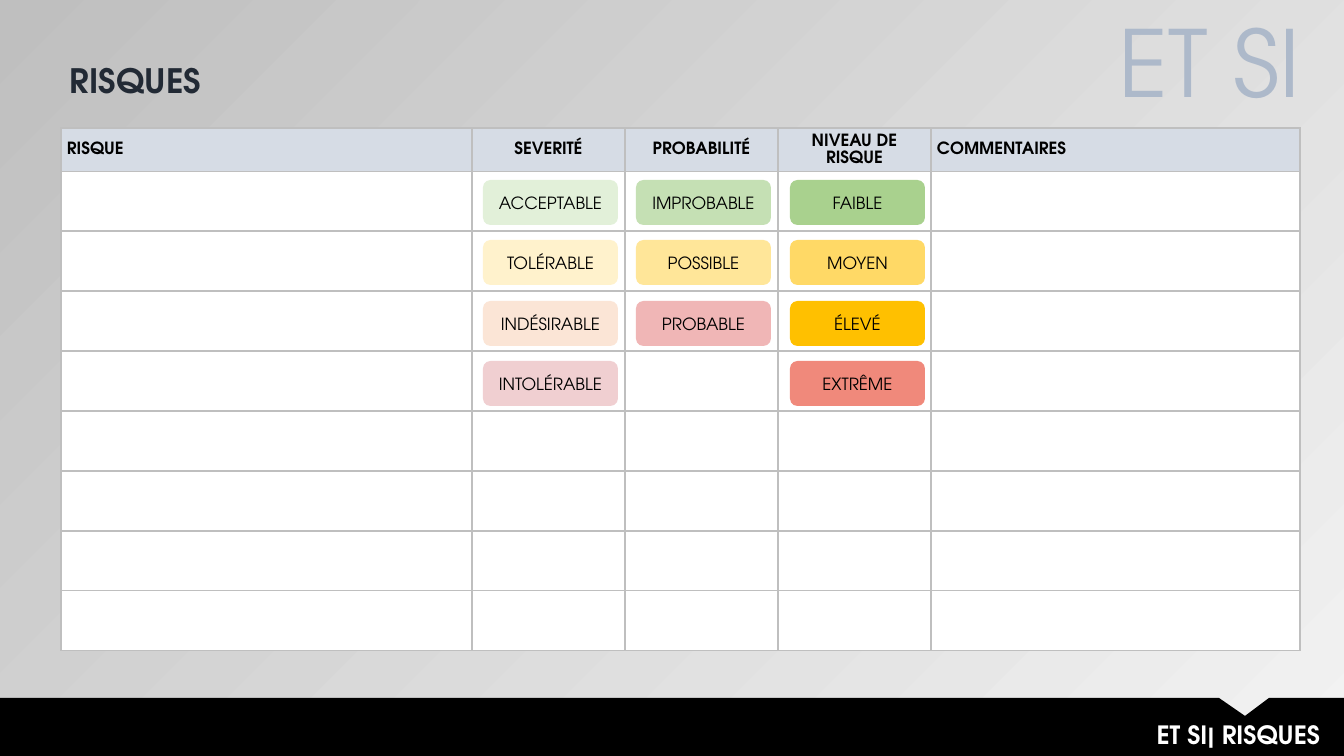
from lxml import etree
from pptx import Presentation
from pptx import util as u
from pptx.dml.color import RGBColor
from pptx.enum import shapes, text
from pptx.oxml import ns

PX = 914400 / 100.8
FONT = "TeX Gyre Adventor"
LEFT, CENTER, RIGHT = text.PP_ALIGN.LEFT, text.PP_ALIGN.CENTER, text.PP_ALIGN.RIGHT


def px(value):
    return u.Emu(round(value * PX))


def write(frame, words, size, color, bold=False, align=LEFT):
    paragraph = frame.paragraphs[0]
    paragraph.alignment = align
    run = paragraph.add_run()
    run.text = words
    run.font.color.rgb = RGBColor.from_string(color)
    for name, value in {"name": FONT, "size": u.Pt(size), "bold": bold}.items():
        setattr(run.font, name, value)
    return paragraph


presentation = Presentation()
presentation.slide_width, presentation.slide_height = px(1344), px(756)
slide = presentation.slides.add_slide(presentation.slide_layouts[6])

# Background gradient, light at the bottom right
background = slide.background.fill
background.gradient()
background.gradient_angle = 135
for stop, color in zip(background.gradient_stops, ["F2F2F2", "BFBFBF"]):
    stop.color.rgb = RGBColor.from_string(color)

# Black footer with a notch
builder = slide.shapes.build_freeform(0, 698, scale=PX)
builder.add_line_segments(
    [(1219, 698), (1245, 716), (1269, 698), (1344, 698), (1344, 756), (0, 756)])
footer = builder.convert_to_shape()
footer.shadow.inherit = False
footer.fill.solid()
footer.fill.fore_color.rgb = RGBColor.from_string("000000")
footer.line.fill.background()

# Footer label, section name and title
headings = [
    ("ET SI| RISQUES", (417, 714, 913, 40), 18, "FFFFFF", True, RIGHT),
    ("ET SI", (916, 0, 394, 122), 66, "ADB9CA", False, RIGHT),
    ("RISQUES", (60, 55, 897, 50), 24, "222A35", True, LEFT),
]
for words, box, size, color, bold, align in headings:
    frame = slide.shapes.add_textbox(*map(px, box)).text_frame
    frame.word_wrap = True
    frame.auto_size = text.MSO_AUTO_SIZE.SHAPE_TO_FIT_TEXT
    write(frame, words, size, color, bold, align)

# Risk table
columns = [("RISQUE", 411, LEFT), ("SEVERITÉ", 153, CENTER), ("PROBABILITÉ", 153, CENTER),
           ("NIVEAU DE RISQUE", 153, CENTER), ("COMMENTAIRES", 369, LEFT)]
row_heights = [43] + [60] * 8
table = slide.shapes.add_table(
    len(row_heights), len(columns), px(61), px(128),
    px(sum(width for _, width, _ in columns)), px(sum(row_heights))).table
table.first_row = table.horz_banding = False
for row, height in zip(table.rows, row_heights):
    row.height = px(height)

cell_format = {"margin_left": px(6), "margin_right": px(6), "margin_top": 0,
               "margin_bottom": 0, "vertical_anchor": text.MSO_ANCHOR.MIDDLE}
for column, (heading, width, align) in enumerate(columns):
    table.columns[column].width = px(width)
    for row in range(len(row_heights)):
        cell = table.cell(row, column)
        for name, value in cell_format.items():
            setattr(cell, name, value)
        cell.fill.solid()
        cell.fill.fore_color.rgb = RGBColor.from_string("FFFFFF" if row else "D6DCE5")
        if row == 0:
            write(cell.text_frame, heading, 12, "000000", True, align).line_spacing = 1.07
        # Cell borders come before the fill
        properties = cell._tc.get_or_add_tcPr()
        for index, side in enumerate(["a:lnL", "a:lnR", "a:lnT", "a:lnB"]):
            border = etree.Element(ns.qn(side), w=str(u.Pt(1)))
            fill = etree.SubElement(border, ns.qn("a:solidFill"))
            etree.SubElement(fill, ns.qn("a:srgbClr"), val="BFBFBF")
            properties.insert(index, border)

# Rating labels, one list per table column
ratings = [
    [("ACCEPTABLE", "E2F0D9"), ("TOLÉRABLE", "FFF2CC"),
     ("INDÉSIRABLE", "FBE5D6"), ("INTOLÉRABLE", "F0CFD1")],
    [("IMPROBABLE", "C5E0B4"), ("POSSIBLE", "FFE699"), ("PROBABLE", "F0B6B6")],
    [("FAIBLE", "A9D18E"), ("MOYEN", "FFD966"), ("ÉLEVÉ", "FFC000"), ("EXTRÊME", "F0897B")],
]
for column, labels in enumerate(ratings):
    for row, (label, color) in enumerate(labels):
        shape = slide.shapes.add_shape(
            shapes.MSO_SHAPE.ROUNDED_RECTANGLE,
            px(483 + column * 307 // 2), px(180 + row * 121 // 2), px(135), px(45))
        shape.shadow.inherit = False
        shape.fill.solid()
        shape.fill.fore_color.rgb = RGBColor.from_string(color)
        shape.line.fill.background()
        shape.text_frame.vertical_anchor = text.MSO_ANCHOR.MIDDLE
        write(shape.text_frame, label, 12, "000000", align=CENTER)

presentation.save("out.pptx")
